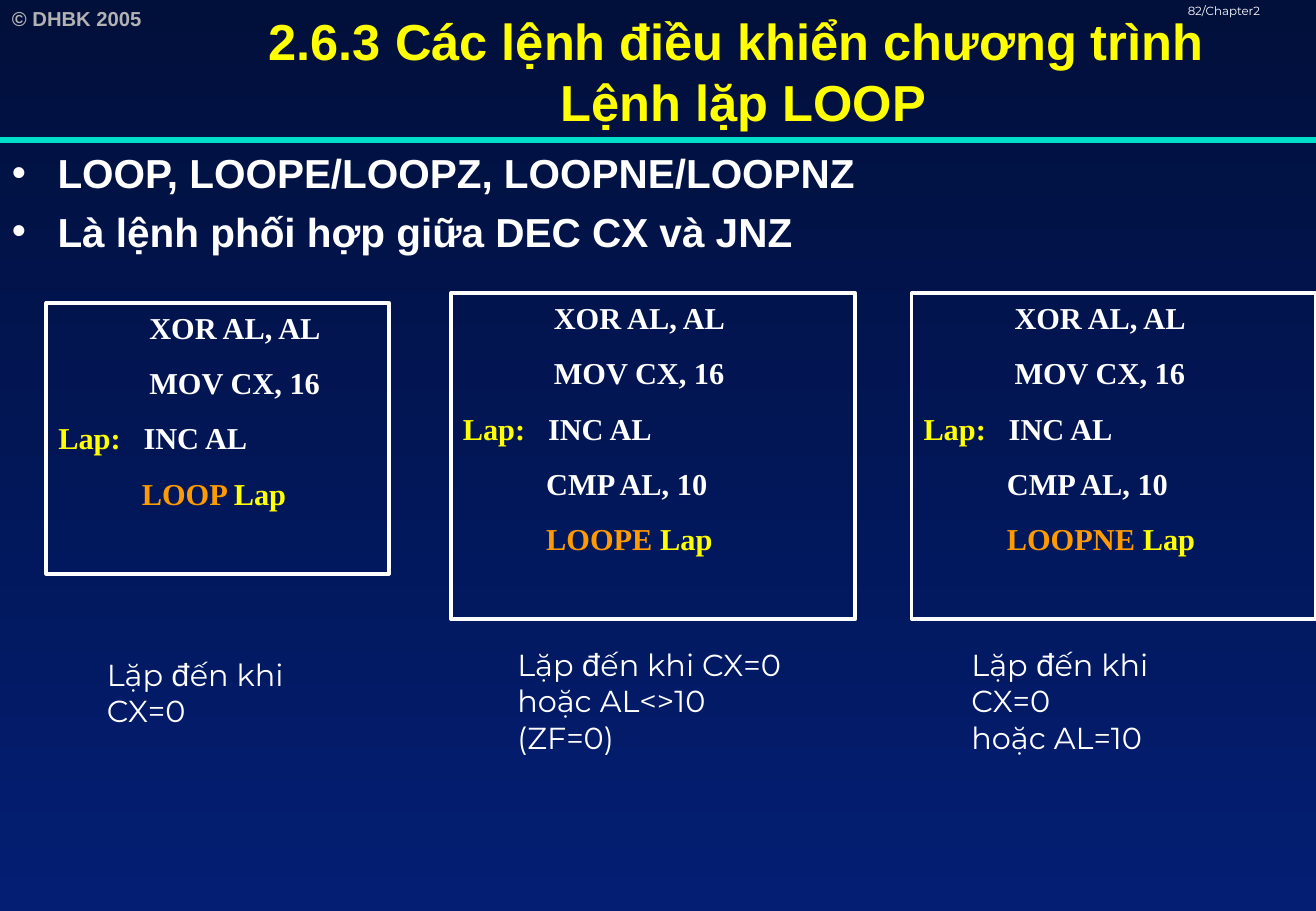
import pptx
import pptx.util
import pptx.dml.color
import pptx.enum.shapes
import pptx.enum.text
import pptx.oxml.ns
import lxml.etree

Pt = pptx.util.Pt
RGB = pptx.dml.color.RGBColor
WHITE = RGB(0xFF, 0xFF, 0xFF)
YELLOW = RGB(0xFF, 0xFF, 0x00)
ORANGE = RGB(0xFF, 0x9B, 0x00)
GREY = RGB(0xB2, 0xB2, 0xB2)
TEAL = RGB(0x00, 0xDF, 0xCA)
NIGHT = RGB(0x01, 0x0F, 0x3B)
NAVY = RGB(0x03, 0x1E, 0x73)
WIDE, HIGH = 780.13, 540
RULE = 83
ALIGN = pptx.enum.text.PP_ALIGN
ANCHOR = pptx.enum.text.MSO_ANCHOR

START = [[("            XOR AL, AL", WHITE)],
         [("            MOV CX, 16", WHITE)],
         [("Lap:", YELLOW), ("   INC AL", WHITE)]]
CHECK = [[("           CMP AL, 10", WHITE)]]

PANELS = [
    ((27.5, 179.5, 203, 160.6), [],
     [("          ", WHITE), (" LOOP ", ORANGE)], (56.2, 385.2, 159), []),
    ((267.3, 173.8, 239.8, 193.2), CHECK,
     [("           LOOPE ", ORANGE)], (299.6, 379.3, 178),
     ["hoặc AL<>10 (ZF=0)"]),
    ((540.4, 173.8, 239.8, 193.2), CHECK,
     [("           LOOPNE ", ORANGE)], (568.8, 379.3, 159),
     ["hoặc AL=10"]),
]


def sub(node, tag, **attrs):
    return lxml.etree.SubElement(node, pptx.oxml.ns.qn(tag), **attrs)


def style(run, size, face, color, bold=False):
    run.font.size = Pt(size)
    run.font.name = face
    run.font.color.rgb = color
    run.font.bold = bold


def add_box(slide, box, text=""):
    frame = slide.shapes.add_textbox(*map(Pt, box)).text_frame
    frame.word_wrap = True
    frame.text = text
    return frame


def next_para(frame, index):
    return frame.paragraphs[0] if index == 0 else frame.add_paragraph()


def draw_back(slide):
    fill = slide.background.fill
    fill.gradient()
    fill.gradient_angle = 270
    for place, color in enumerate((NIGHT, NAVY)):
        stop = fill.gradient_stops[place]
        stop.color.rgb = color
        stop.position = place


def draw_head(slide, box):
    left, top, width, height = box
    mark = add_box(slide, (left, top, 113, 21.6), "© DHBK 2005")
    style(mark.paragraphs[0].runs[0], 12, "Arial", GREY, True)

    rule = slide.shapes.add_connector(
        pptx.enum.shapes.MSO_CONNECTOR.STRAIGHT,
        Pt(left), Pt(top + height), Pt(left + width), Pt(top + height))
    rule.line.color.rgb = TEAL
    rule.line.width = Pt(3)
    sub(rule._element.spPr, "a:effectLst")

    page = add_box(slide, (left + 697, top, 113.8, 18), "82/Chapter2")
    page.paragraphs[0].line_spacing = 0.8
    style(page.paragraphs[0].runs[0], 7, "Montserrat", WHITE)

    title = add_box(slide, (left + 101.5, top, width - 101.5, height + 1.2),
                    "2.6.3 Các lệnh điều khiển chương trình \vLệnh lặp LOOP")
    title.vertical_anchor = ANCHOR.MIDDLE
    title.paragraphs[0].alignment = ALIGN.CENTER
    for run in title.paragraphs[0].runs:
        style(run, 30, "Arial", YELLOW, True)


def draw_list(slide, box):
    frame = add_box(slide, box)
    lines = ["LOOP, LOOPE/LOOPZ, LOOPNE/LOOPNZ",
             "Là lệnh phối hợp giữa DEC CX và JNZ"]
    for index, line in enumerate(lines):
        para = next_para(frame, index)
        para.text = line
        props = para._p.get_or_add_pPr()
        props.set("marL", str(Pt(27)))
        props.set("indent", str(-Pt(27)))
        sub(sub(props, "a:buClr"), "a:srgbClr", val=str(WHITE))
        sub(props, "a:buFont", typeface="Arial")
        sub(props, "a:buChar", char="•")
        para.space_before = Pt(6 if index else 0)
        style(para.runs[0], 24, "Arial", WHITE, True)


def draw_code(slide, box, lines):
    shape = slide.shapes.add_shape(
        pptx.enum.shapes.MSO_SHAPE.RECTANGLE, *map(Pt, box))
    shape.shadow.inherit = False
    shape.fill.background()
    shape.line.color.rgb = WHITE
    shape.line.width = Pt(2.25)
    frame = shape.text_frame
    frame.word_wrap = True
    frame.vertical_anchor = ANCHOR.TOP
    for index, line in enumerate(lines):
        para = next_para(frame, index)
        para.alignment = ALIGN.LEFT
        para.space_before = Pt(11.2 if index else 0)
        for text, color in line:
            run = para.add_run()
            run.text = text
            style(run, 18, "Times New Roman", color, True)


def draw_note(slide, box, extra):
    frame = add_box(slide, box)
    lines = [["Lặp ", "đ", "ến khi CX=0"]] + [[line] for line in extra]
    for index, line in enumerate(lines):
        para = next_para(frame, index)
        for text in line:
            run = para.add_run()
            run.text = text
            face = "Noto Sans" if text == "đ" else "Montserrat"
            style(run, 18, face, WHITE)


def draw_panel(slide, box, check, loop, note, extra):
    jump = [loop + [("Lap", YELLOW)]]
    draw_code(slide, box, START + check + jump)
    draw_note(slide, (*note, 50 + 22 * len(extra)), extra)


def main():
    deck = pptx.Presentation()
    deck.slide_width, deck.slide_height = Pt(WIDE), Pt(HIGH)
    slide = deck.slides.add_slide(deck.slide_layouts[6])
    draw_back(slide)
    draw_head(slide, (0, 0, WIDE, RULE))
    draw_list(slide, (0, RULE + 1.2, WIDE, HIGH - RULE - 1.2))
    for panel in PANELS:
        draw_panel(slide, *panel)
    deck.save("out.pptx")


if __name__ == "__main__":
    main()
